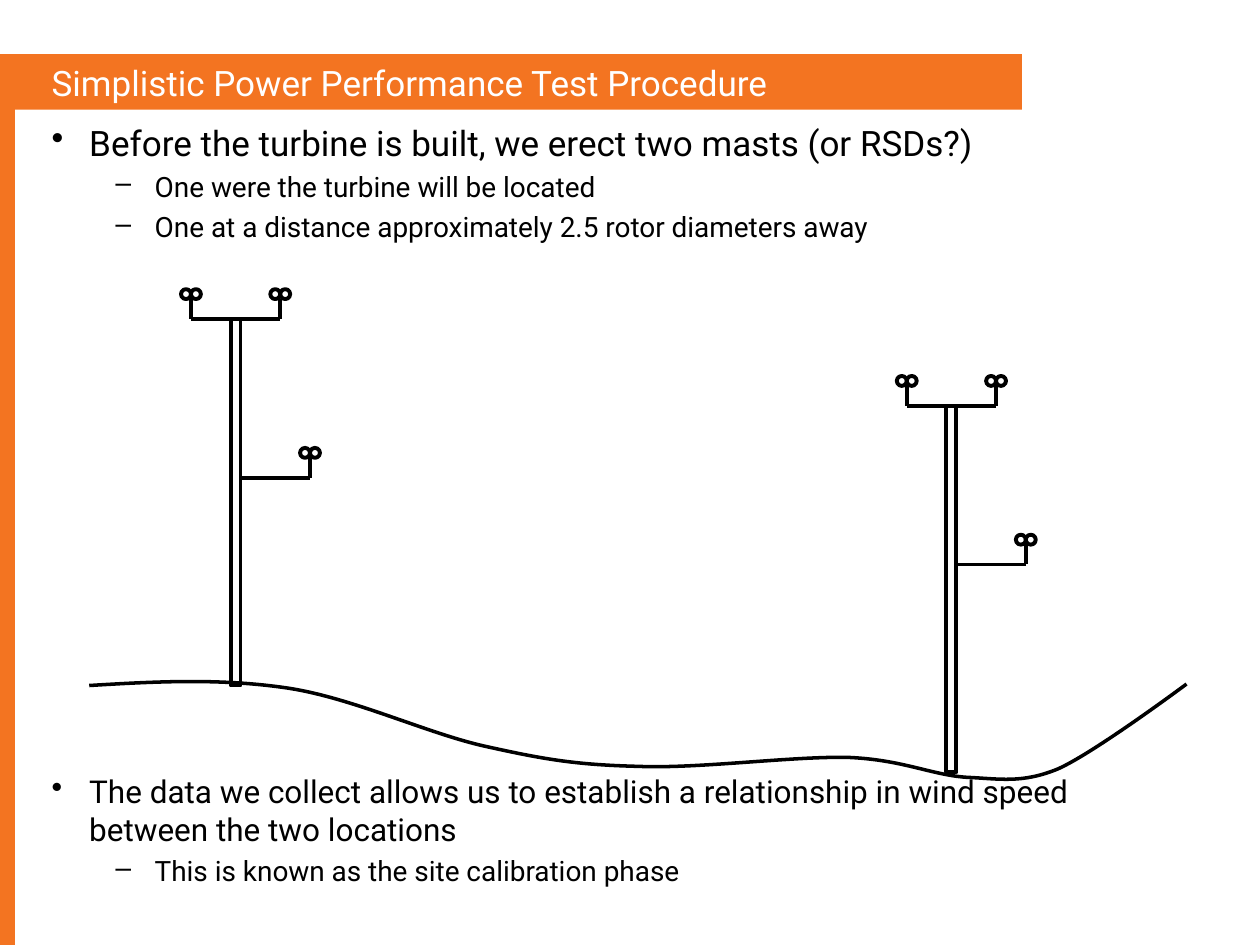
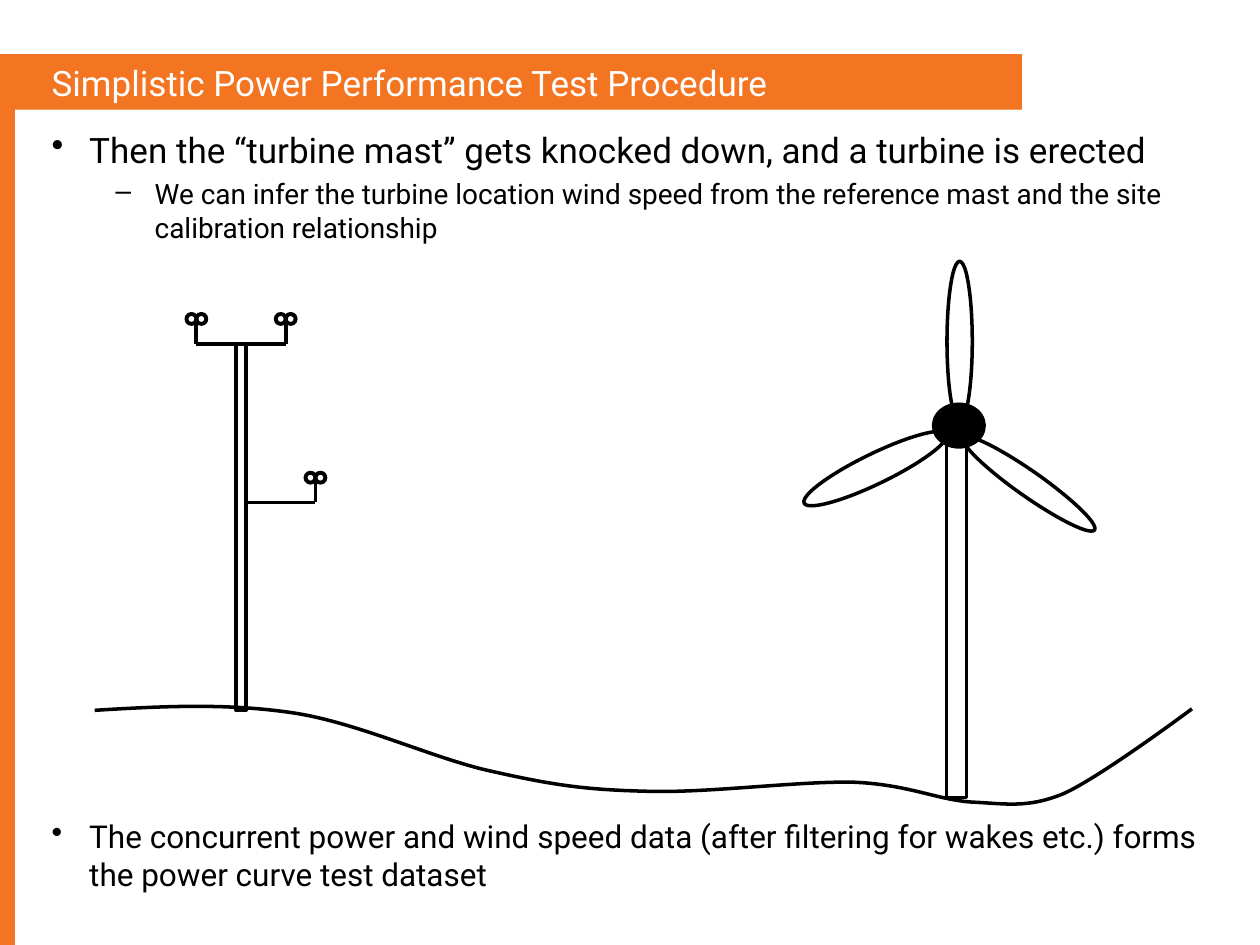
from lxml.etree import SubElement
from pptx import Presentation
from pptx.dml.color import RGBColor
from pptx.enum.shapes import MSO_CONNECTOR, MSO_SHAPE
from pptx.enum.text import MSO_ANCHOR, PP_ALIGN
from pptx.oxml.ns import qn
from pptx.util import Cm, Pt

FONT = "Roboto"
ORANGE, BLACK, WHITE = "F37421", "000000", "FFFFFF"
MAST_LINE, THICK_LINE = 2.25, 2
TITLE = "Simplistic Power Performance Test Procedure"
TEXT_LEFT = 0.79
# Per level: bullet, left margin and hanging indent in cm
BULLETS = [("•", 0.76, -0.76), ("–", 2.08, -0.79)]
# Bezier control points of the terrain in cm from its left end, three per curve
TERRAIN = [
    (1.32, -0.08), (2.64, -0.15), (3.99, 0.05),
    (5.33, 0.25), (6.86, 0.99), (8.05, 1.24),
    (9.22, 1.5), (9.86, 1.6), (11.07, 1.63),
    (12.29, 1.68), (14.2, 1.42), (15.32, 1.45),
    (16.41, 1.5), (16.97, 1.8), (17.68, 1.85),
    (18.36, 1.88), (18.8, 1.98), (19.53, 1.68),
    (20.27, 1.35), (22.12, -0.03), (22.12, -0.03),
]


def colour(value):
    return RGBColor.from_string(value)


def paint(shape, fill=None, line_width=None):
    """Set fill and black outline; None leaves either one out."""
    shape.shadow.inherit = False
    if fill:
        shape.fill.solid()
        shape.fill.fore_color.rgb = colour(fill)
    else:
        shape.fill.background()
    if line_width:
        shape.line.color.rgb = colour(BLACK)
        shape.line.width = Pt(line_width)
    else:
        shape.line.fill.background()


def add_preset(shapes, kind, left, top, width, height, fill=None,
               line_width=None, rotation=0):
    shape = shapes.add_shape(kind, Cm(left), Cm(top), Cm(width), Cm(height))
    shape.rotation = rotation
    paint(shape, fill, line_width)


def add_line(shapes, x1, y1, x2, y2):
    line = shapes.add_connector(MSO_CONNECTOR.STRAIGHT, Cm(x1), Cm(y1), Cm(x2), Cm(y2))
    line.line.color.rgb = colour(BLACK)
    line.line.width = Pt(MAST_LINE)
    SubElement(line._element.spPr, qn("a:effectLst"))


def add_text_box(page, left, top, width, height, text):
    frame = page.shapes.add_textbox(Cm(left), Cm(top), Cm(width), Cm(height)).text_frame
    frame.word_wrap = True
    frame.margin_top = frame.margin_bottom = 0
    frame.text = text
    return frame


def format_paragraph(para, size, text_colour):
    para.alignment = PP_ALIGN.LEFT
    for span in para.runs:
        span.font.name = FONT
        span.font.size = Pt(size)
        span.font.color.rgb = colour(text_colour)


def add_bullets(page, top, width, height, items):
    """Write (level, size, text) items as a bulleted list."""
    frame = add_text_box(page, TEXT_LEFT, top, width, height,
                         "\n".join(text for _, _, text in items))
    for index, (para, (level, size, _)) in enumerate(zip(frame.paragraphs, items)):
        bullet, margin, indent = BULLETS[level]
        para.level = level
        properties = para._p.get_or_add_pPr()
        properties.set("marL", str(Cm(margin)))
        properties.set("indent", str(Cm(indent)))
        SubElement(properties, qn("a:buChar")).set("char", bullet)
        if index:
            para.space_before = Pt(3.75)
        format_paragraph(para, size, BLACK)


def add_page(deck):
    """Add a page with the orange bands and the title."""
    page = deck.slides.add_slide(deck.slide_layouts[6])
    add_preset(page.shapes, MSO_SHAPE.RECTANGLE, 0, 1.09, 20.6, 1.12, ORANGE)
    add_preset(page.shapes, MSO_SHAPE.RECTANGLE, 0, 2.03, 0.3, 17.02, ORANGE)
    frame = add_text_box(page, TEXT_LEFT, 1.22, 15.37, 0.89, TITLE)
    frame.vertical_anchor = MSO_ANCHOR.MIDDLE
    format_paragraph(frame.paragraphs[0], 20, WHITE)
    return page


def add_anemometer(shapes, x, arm_y):
    cup = 0.2
    add_line(shapes, x, arm_y, x, arm_y - 0.41)
    for left in (x, x - cup):
        add_preset(shapes, MSO_SHAPE.OVAL, left, arm_y - 0.6, cup, cup,
                   line_width=MAST_LINE)


def add_mast(page, left, top):
    shapes = page.shapes.add_group_shape().shapes
    pole_width, reach = 0.2, 0.9
    centre, side_x, side_y = left + pole_width / 2, left + 1.6, top + 3.2
    add_preset(shapes, MSO_SHAPE.RECTANGLE, left, top, pole_width, 7.39,
               line_width=MAST_LINE)
    add_line(shapes, centre - reach, top, centre + reach, top)
    add_line(shapes, left + pole_width, side_y, side_x, side_y)
    for x, y in ((centre - reach, top), (centre + reach, top), (side_x, side_y)):
        add_anemometer(shapes, x, y)


def add_turbine(page):
    shapes = page.shapes.add_group_shape().shapes
    add_preset(shapes, MSO_SHAPE.RECTANGLE, 19.08, 8.89, 0.41, 7.19, WHITE, THICK_LINE)
    blades = [(16.05, 9.14, 3.2, 0.61, 334.1),
              (17.73, 6.63, 3.23, 0.51, 90),
              (19.13, 9.5, 3.23, 0.51, 215.1)]
    for left, top, width, height, rotation in blades:
        add_preset(shapes, MSO_SHAPE.OVAL, left, top, width, height, WHITE,
                   THICK_LINE, rotation)
    add_preset(shapes, MSO_SHAPE.OVAL, 18.82, 8.15, 1.02, 0.86, BLACK, THICK_LINE)


def add_terrain(page, left, top):
    """Draw the ground line, turning each three line segments into one curve."""
    builder = page.shapes.build_freeform(Cm(left), Cm(top))
    builder.add_line_segments([(Cm(left + x), Cm(top + y)) for x, y in TERRAIN],
                              close=False)
    ground = builder.convert_to_shape()
    outline = ground._element.find(".//" + qn("a:path"))
    segments = outline.findall(qn("a:lnTo"))
    for start in range(0, len(segments), 3):
        curve = SubElement(outline, qn("a:cubicBezTo"))
        for segment in segments[start:start + 3]:
            curve.append(segment[0])
            outline.remove(segment)
    paint(ground, line_width=THICK_LINE)


def add_calibration_page(deck):
    page = add_page(deck)
    add_bullets(page, 2.44, 22.45, 2.6, [
        (0, 20, "Before the turbine is built, we erect two masts (or RSDs?)"),
        (1, 16, "One were the turbine will be located"),
        (1, 16, "One at a distance approximately 2.5 rotor diameters away"),
    ])
    add_bullets(page, 15.56, 22.45, 2.4, [
        (0, 18, "The data we collect allows us to establish a relationship "
                "in wind speed between the two locations"),
        (1, 16, "This is known as the site calibration phase"),
    ])
    add_mast(page, 4.65, 6.43)
    add_mast(page, 19.08, 8.18)
    add_terrain(page, 1.8, 13.82)


def add_power_curve_page(deck):
    page = add_page(deck)
    add_turbine(page)
    add_mast(page, 4.76, 6.93)
    add_terrain(page, 1.91, 14.32)
    add_bullets(page, 2.59, 23.8, 2.4, [
        (0, 20, "Then the “turbine mast” gets knocked down, and a turbine is erected"),
        (1, 16, "We can infer the turbine location wind speed from the "
                "reference mast and the site calibration relationship"),
    ])
    add_bullets(page, 16.47, 23.8, 1.6, [
        (0, 18, "The concurrent power and wind speed data (after filtering "
                "for wakes etc.) forms the power curve test dataset"),
    ])


def main():
    deck = Presentation()
    deck.slide_width, deck.slide_height = Cm(25.4), Cm(19.05)
    add_calibration_page(deck)
    add_power_curve_page(deck)
    deck.save("out.pptx")


if __name__ == "__main__":
    main()
